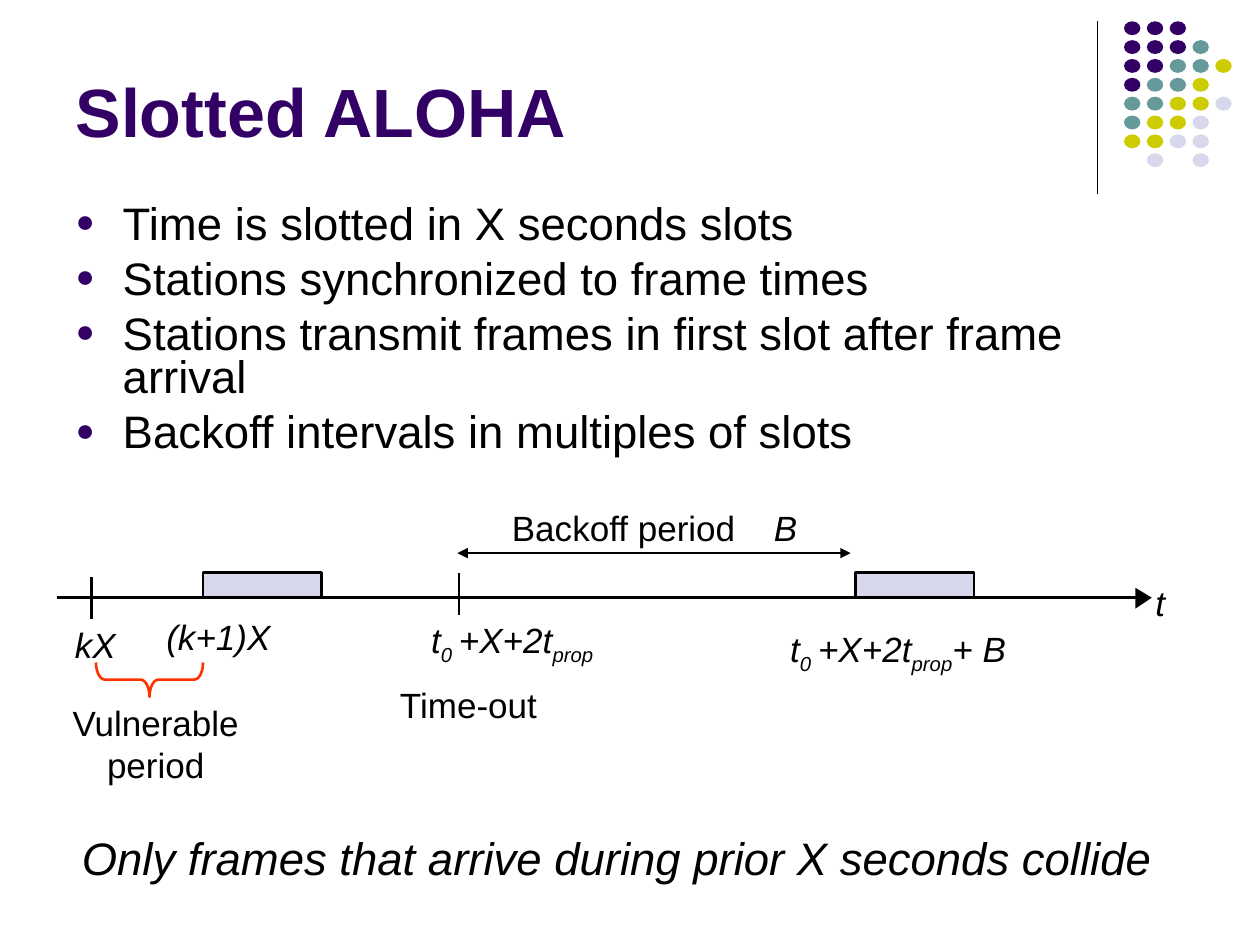
from dataclasses import dataclass
from typing import NamedTuple

from lxml.etree import SubElement
from pptx import Presentation
from pptx.dml.color import RGBColor
from pptx.enum.shapes import MSO_CONNECTOR, MSO_SHAPE
from pptx.enum.text import MSO_ANCHOR, MSO_AUTO_SIZE, PP_ALIGN
from pptx.oxml.ns import qn
from pptx.util import Cm, Pt


@dataclass(frozen=True)
class Theme:
    font: str = "Arial"
    ink: str = "000000"
    plum: str = "330066"
    teal: str = "669999"
    lime: str = "CCCC00"
    pale: str = "D8D8EC"
    red: str = "FF3300"
    head: float = 39
    body: float = 26
    note: float = 20
    small: float = 14


LOOK = Theme()


class Bit(NamedTuple):
    text: str
    slant: bool = True
    sub: bool = False
    size: float = LOOK.note


class Label(NamedTuple):
    left: float
    top: float
    width: float
    height: float
    bits: tuple
    align: PP_ALIGN = PP_ALIGN.CENTER
    wrap: bool = False
    tab: float = 0
    inset: tuple = (0, 0)
    line: float = 1.0
    space: float = 7.5


class Rule(NamedTuple):
    start: tuple
    end: tuple
    weight: float = 1.5
    tips: bool = False


AXIS = 12.05
SLOT = (2.39, 0.51)
DOTS = ("PPP", "PPPT", "PPTTL", "PTTL", "TTLLG", "TLLG", "LLGG", " G G")
HUES = {"P": LOOK.plum, "T": LOOK.teal, "L": LOOK.lime, "G": LOOK.pale}
POINTS = (
    "Time is slotted in X seconds slots",
    "Stations synchronized to frame times",
    "Stations transmit frames in first slot after frame arrival",
    "Backoff intervals in multiples of slots",
)
DELAY = (
    Bit("t"),
    Bit("0", sub=True),
    Bit(" ", size=LOOK.small),
    Bit("+X+2t"),
    Bit("prop", sub=True),
)
RULES = (
    Rule((22.12, 0.43), (22.12, 3.91), 0.75),
    Rule((1.14, AXIS), (23.01, AXIS)),
    Rule((1.85, 11.63), (1.85, 12.47)),
    Rule((9.25, 11.56), (9.25, 12.4)),
    Rule((9.22, 11.15), (17.15, 11.15), 1, True),
)
LABELS = (
    Label(23.29, 11.73, 0.2, 0.84, (Bit("t"),)),
    Label(3.35, 12.4, 2.11, 0.84, (Bit("(k+1)X"),)),
    Label(1.5, 12.57, 0.84, 0.84, (Bit("kX"),)),
    Label(15.93, 12.65, 5.87, 0.97, DELAY + (Bit("+ B"),), PP_ALIGN.LEFT, True),
    Label(1.45, 14.15, 3.38, 1.7, (Bit("Vulnerable\vperiod", False),), wrap=True),
    Label(8.05, 13.77, 2.79, 0.84, (Bit("Time-out", False),)),
    Label(10.32, 10.21, 6.2, 0.84, (Bit("Backoff period\t", False), Bit("B")),
          PP_ALIGN.LEFT, True, tab=5.28),
    Label(8.69, 12.47, 5.87, 0.97, DELAY, PP_ALIGN.LEFT, True),
    Label(1.4, 16.81, 22.86, 1.42,
          (Bit("Only frames that arrive during prior X seconds collide", size=LOOK.body),),
          PP_ALIGN.LEFT, True, inset=(0.25, 0.13), line=0.8, space=6.5),
)


def tint(code: str) -> RGBColor:
    return RGBColor.from_string(code)


def style(run, size: float, hue: str = LOOK.ink, bold: bool = False, slant: bool = False) -> None:
    font = run.font
    font.name, font.size = LOOK.font, Pt(size)
    font.bold, font.italic = bold, slant
    font.color.rgb = tint(hue)


def place(shape, left: float, top: float, width: float, height: float) -> None:
    shape.left, shape.top = Cm(left), Cm(top)
    shape.width, shape.height = Cm(width), Cm(height)


def paint(shape, fill: str = "", line: str = "") -> None:
    shape.shadow.inherit = False
    if fill:
        shape.fill.solid()
        shape.fill.fore_color.rgb = tint(fill)
    else:
        shape.fill.background()
    if line:
        shape.line.color.rgb = tint(line)
        shape.line.width = Pt(1.5)
    else:
        shape.line.fill.background()


def add_form(slide, kind: MSO_SHAPE, box: tuple, fill: str = "", line: str = ""):
    shape = slide.shapes.add_shape(kind, *map(Cm, box))
    paint(shape, fill, line)
    return shape


def add_rule(slide, rule: Rule) -> None:
    link = slide.shapes.add_connector(
        MSO_CONNECTOR.STRAIGHT, *map(Cm, rule.start + rule.end))
    link.line.color.rgb = tint(LOOK.ink)
    link.line.width = Pt(rule.weight)
    if rule.tips:
        for tip in ("a:headEnd", "a:tailEnd"):
            SubElement(link.line._get_or_add_ln(), qn(tip), type="triangle")
    SubElement(link._element.spPr, qn("a:effectLst"))


def add_label(slide, label: Label) -> None:
    frame = slide.shapes.add_textbox(*map(Cm, label[:4])).text_frame
    frame.word_wrap = label.wrap
    side, edge = map(Cm, label.inset)
    frame.margin_left = frame.margin_right = side
    frame.margin_top = frame.margin_bottom = edge
    para = frame.paragraphs[0]
    para.alignment = label.align
    para.line_spacing = label.line
    para.space_before = Pt(label.space)
    if label.tab:
        stops = SubElement(para._p.get_or_add_pPr(), qn("a:tabLst"))
        SubElement(stops, qn("a:tab"), pos=str(Cm(label.tab)), algn="l")
    bits = label.bits
    if len(bits) == 1:
        para.text = bits[0].text
        bits *= len(para.runs)
    else:
        for bit in bits:
            para.add_run().text = bit.text
    for run, bit in zip(para.runs, bits):
        style(run, bit.size, slant=bit.slant)
        if bit.sub:
            run.font._element.set("baseline", "-25000")


def add_title(slide) -> None:
    title = slide.shapes.title
    place(title, 1.27, 0.33, 20.96, 2.84)
    frame = title.text_frame
    frame.text = "Slotted ALOHA"
    frame.vertical_anchor = MSO_ANCHOR.BOTTOM
    frame.auto_size = MSO_AUTO_SIZE.NONE
    para = frame.paragraphs[0]
    para.alignment = PP_ALIGN.LEFT
    style(para.runs[0], LOOK.head, LOOK.plum, bold=True)


def add_list(slide) -> None:
    body = slide.placeholders[1]
    place(body, 1.27, 4.01, 22.86, 5.74)
    frame = body.text_frame
    frame.text = "\n".join(POINTS)
    frame.auto_size = MSO_AUTO_SIZE.NONE
    for para in frame.paragraphs:
        para.line_spacing, para.space_before = 0.8, Pt(6.5)
        props = para._p.get_or_add_pPr()
        props.set("marL", str(Cm(0.95)))
        props.set("indent", str(Cm(-0.95)))
        SubElement(SubElement(props, qn("a:buClr")), qn("a:srgbClr"), val=LOOK.plum)
        SubElement(props, qn("a:buSzPct"), val="70000")
        SubElement(props, qn("a:buFont"), typeface=LOOK.font)
        SubElement(props, qn("a:buChar"), char="●")
        style(para.runs[0], LOOK.body)


def main() -> None:
    deck = Presentation()
    deck.slide_width, deck.slide_height = Cm(25.4), Cm(19.05)
    slide = deck.slides.add_slide(deck.slide_layouts[1])
    for row, line in enumerate(DOTS):
        for col, key in enumerate(line):
            if key in HUES:
                box = (22.66 + 0.46 * col, 0.43 + 0.38 * row, 0.33, 0.28)
                add_form(slide, MSO_SHAPE.OVAL, box, HUES[key])
    add_title(slide)
    add_list(slide)
    for rule in RULES:
        add_rule(slide, rule)
    pen = slide.shapes.build_freeform(Cm(22.89), Cm(AXIS - 0.2))
    pen.add_line_segments([(Cm(23.22), Cm(AXIS)), (Cm(22.89), Cm(AXIS + 0.22))])
    paint(pen.convert_to_shape(), LOOK.ink)
    for left in (4.09, 17.25):
        add_form(slide, MSO_SHAPE.RECTANGLE, (left, AXIS - SLOT[1], *SLOT), LOOK.pale, LOOK.ink)
    brace = add_form(slide, MSO_SHAPE.LEFT_BRACE, (2.67, 12.62, 0.69, 2.16), line=LOOK.red)
    brace.rotation = 270
    brace.adjustments[0] = 0.26
    for label in LABELS:
        add_label(slide, label)
    deck.save("out.pptx")


if __name__ == "__main__":
    main()
